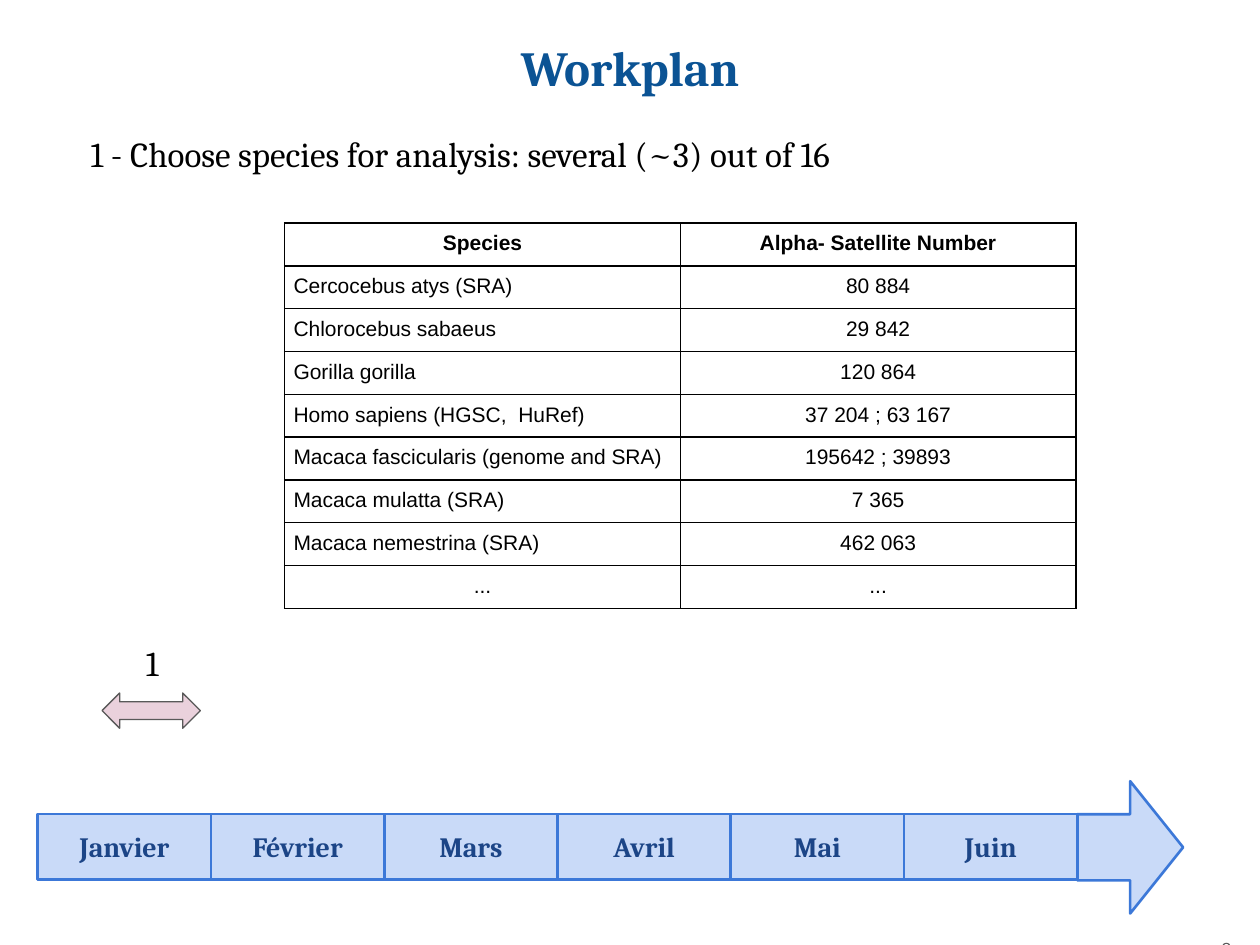
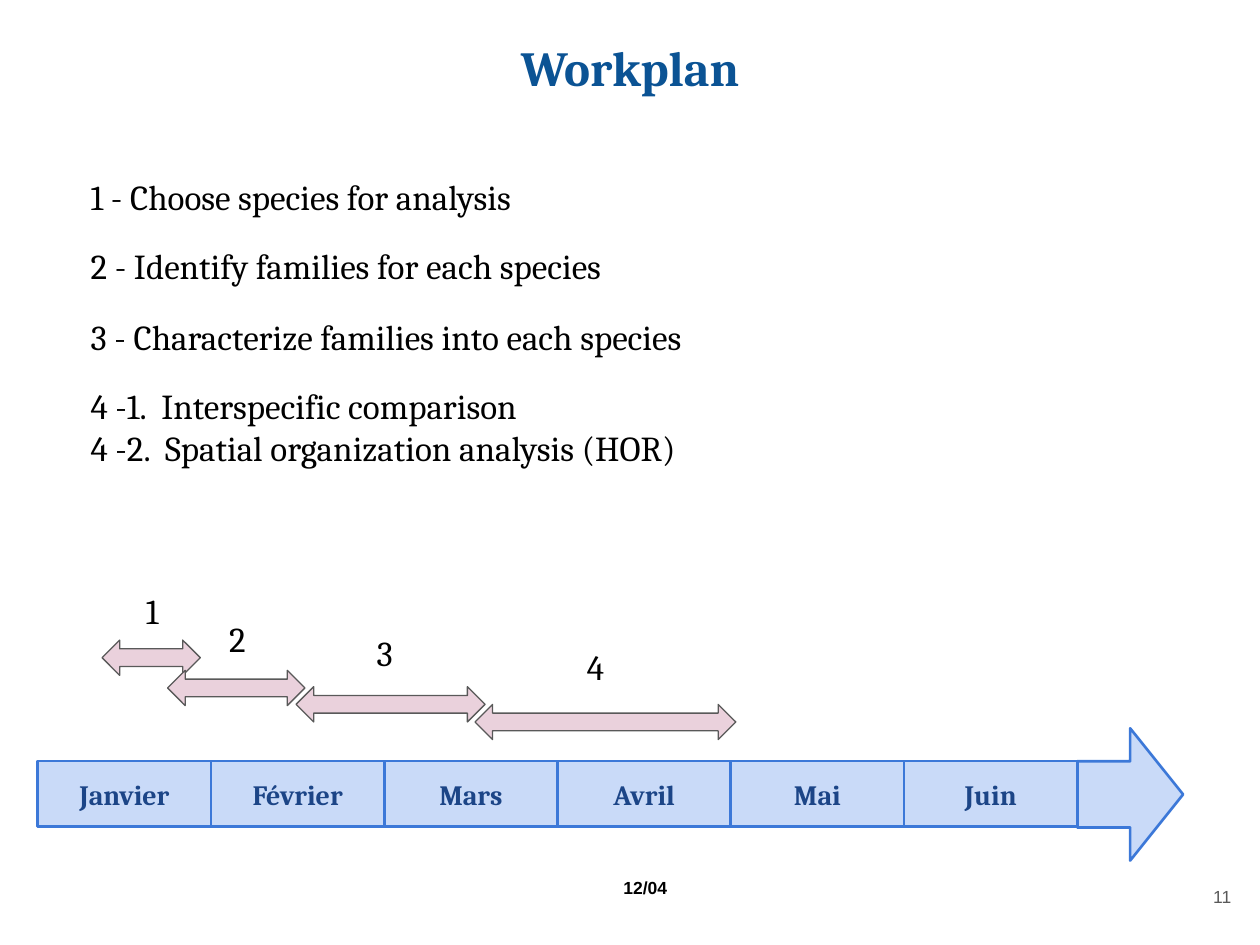
from lxml import etree
from pptx import Presentation
from pptx.dml.color import RGBColor
from pptx.enum import shapes, text
from pptx.oxml import ns
from pptx.util import Inches, Pt

BLACK, GREY = "000000", "595959"
TITLE_BLUE, MONTH_BLUE = "0B5394", "1C4587"
BAND_FILL, BAND_LINE = "C9DAF8", "3C78D8"
SPAN_FILL = "EAD1DC"
LEFT, CENTER, RIGHT = text.PP_ALIGN.LEFT, text.PP_ALIGN.CENTER, text.PP_ALIGN.RIGHT
TOP, MIDDLE = text.MSO_ANCHOR.TOP, text.MSO_ANCHOR.MIDDLE

MONTHS = ["Janvier", "Février", "Mars", "Avril", "Mai", "Juin"]
BAND_LEFT, BAND_RIGHT = 0.3, 8.55
MONTH_WIDTH = (BAND_RIGHT - BAND_LEFT) / len(MONTHS)

SPECIES = [
    ("Species", "Alpha- Satellite Number"),
    ("Cercocebus atys (SRA)", "80 884"),
    ("Chlorocebus sabaeus", "29 842"),
    ("Gorilla gorilla", "120 864"),
    ("Homo sapiens (HGSC,  HuRef)", "37 204 ; 63 167"),
    ("Macaca fascicularis (genome and SRA)", "195642 ; 39893"),
    ("Macaca mulatta (SRA)", "7 365"),
    ("Macaca nemestrina (SRA)", "462 063"),
    ("...", "..."),
]

# Each slide: band top, steps (left, top, width, height, lines),
# spans (arrow left, top, width, label left, label top), page number and its top
SLIDES = [
    dict(
        band_top=6.2,
        steps=[(0.62, 0.95, 6.45, 0.83,
                ["1 - Choose species for analysis: several (~3) out of 16"])],
        spans=[(0.81, 5.5, 0.78, 1.06, 4.99)],
        page=("8", 7.24),
    ),
    dict(
        band_top=5.78,
        steps=[
            (0.62, 1.29, 6.45, 0.57, ["1 - Choose species for analysis"]),
            (0.62, 1.84, 9.09, 0.75, ["2 - Identify families for each species"]),
            (0.62, 2.4, 8.48, 0.75, ["3 - Characterize families into each species"]),
            (0.62, 2.95, 8.48, 1.11, ["4 -1.  Interspecific comparison",
                                      "4 -2.  Spatial organization analysis (HOR)"]),
        ],
        spans=[
            (0.81, 5.08, 0.78, 1.06, 4.58),
            (1.33, 5.32, 1.09, 1.72, 4.8),
            (2.35, 5.45, 1.5, 2.89, 4.91),
            (3.77, 5.59, 2.07, 4.56, 5.02),
        ],
        page=("11", 6.83),
    ),
]


def write(frame, lines, size, color=BLACK, name="Cambria", bold=False, align=LEFT, anchor=TOP):
    """Fill a text frame with equally styled paragraphs."""
    frame.word_wrap = True
    frame.vertical_anchor = anchor
    frame.margin_left = frame.margin_right = Inches(0.1)
    frame.margin_top = frame.margin_bottom = Inches(0.1)
    frame.text = "\n".join(lines)
    for paragraph in frame.paragraphs:
        paragraph.alignment = align
        paragraph.font.size = Pt(size)
        paragraph.font.name = name
        paragraph.font.bold = bold
        paragraph.font.color.rgb = RGBColor.from_string(color)


def add_outlined(slide, kind, box, fill, line, weight):
    """Add a preset shape with a flat fill and an outline."""
    shape = slide.shapes.add_shape(kind, *map(Inches, box))
    shape.shadow.inherit = False
    shape.fill.solid()
    shape.fill.fore_color.rgb = RGBColor.from_string(fill)
    shape.line.color.rgb = RGBColor.from_string(line)
    shape.line.width = Pt(weight)
    return shape


presentation = Presentation()
presentation.slide_width = Inches(10)
presentation.slide_height = Inches(7.5)

for plan in SLIDES:
    slide = presentation.slides.add_slide(presentation.slide_layouts[6])
    add_box = slide.shapes.add_textbox

    title = add_box(Inches(0.34), Inches(0.2), Inches(9.32), Inches(0.83))
    write(title.text_frame, ["Workplan"], 28, TITLE_BLUE, bold=True, align=CENTER)

    number, number_top = plan["page"]
    page = add_box(Inches(9.27), Inches(number_top), Inches(0.6), Inches(0.57))
    write(page.text_frame, [number], 10, GREY, "Arial", align=RIGHT, anchor=MIDDLE)

    # Timeline of months ending in an arrowhead
    band_top = plan["band_top"]
    add_outlined(slide, shapes.MSO_SHAPE.RIGHT_ARROW, (BAND_RIGHT, band_top, 0.84, 1.05),
                 BAND_FILL, BAND_LINE, 1.5)
    for index, month in enumerate(MONTHS):
        box = (BAND_LEFT + index * MONTH_WIDTH, band_top + 0.26, MONTH_WIDTH, 0.52)
        shape = add_outlined(slide, shapes.MSO_SHAPE.RECTANGLE, box, BAND_FILL, BAND_LINE, 1.5)
        write(shape.text_frame, [month], 16, MONTH_BLUE, bold=True, align=CENTER, anchor=MIDDLE)

    for *box, lines in plan["steps"]:
        step = add_box(*map(Inches, box))
        write(step.text_frame, lines, 20)

    for step_number, (left, top, width, label_left, label_top) in enumerate(plan["spans"], 1):
        add_outlined(slide, shapes.MSO_SHAPE.LEFT_RIGHT_ARROW, (left, top, width, 0.28),
                     SPAN_FILL, GREY, 0.75)
        label = add_box(Inches(label_left), Inches(label_top), Inches(0.33), Inches(0.36))
        write(label.text_frame, [str(step_number)], 20)

# Species table on the first slide
frame = presentation.slides[0].shapes.add_table(
    len(SPECIES), 2, Inches(2.26), Inches(1.77), Inches(6.28), Inches(0.32 * len(SPECIES)))
for row, values in enumerate(SPECIES):
    for column, value in enumerate(values):
        cell = frame.table.cell(row, column)
        centered = column == 1 or row in (0, len(SPECIES) - 1)
        write(cell.text_frame, [value], 12, name="Arial", bold=row == 0,
              align=CENTER if centered else LEFT)
        cell.margin_left = cell.margin_right = Inches(0.07)
        cell.margin_top = cell.margin_bottom = Inches(0.07)
        properties = cell._tc.get_or_add_tcPr()
        for side in ("a:lnL", "a:lnR", "a:lnT", "a:lnB"):
            border = etree.SubElement(properties, ns.qn(side), w=str(Pt(1)))
            solid = etree.SubElement(border, ns.qn("a:solidFill"))
            etree.SubElement(solid, ns.qn("a:srgbClr"), val=BLACK)
        cell.fill.background()

# Date at the foot of the second slide
date = presentation.slides[1].shapes.add_textbox(
    Inches(4.85), Inches(6.88), Inches(0.6), Inches(0.28))
write(date.text_frame, ["12/04"], 10, name="Arial", bold=True)

presentation.save("out.pptx")
